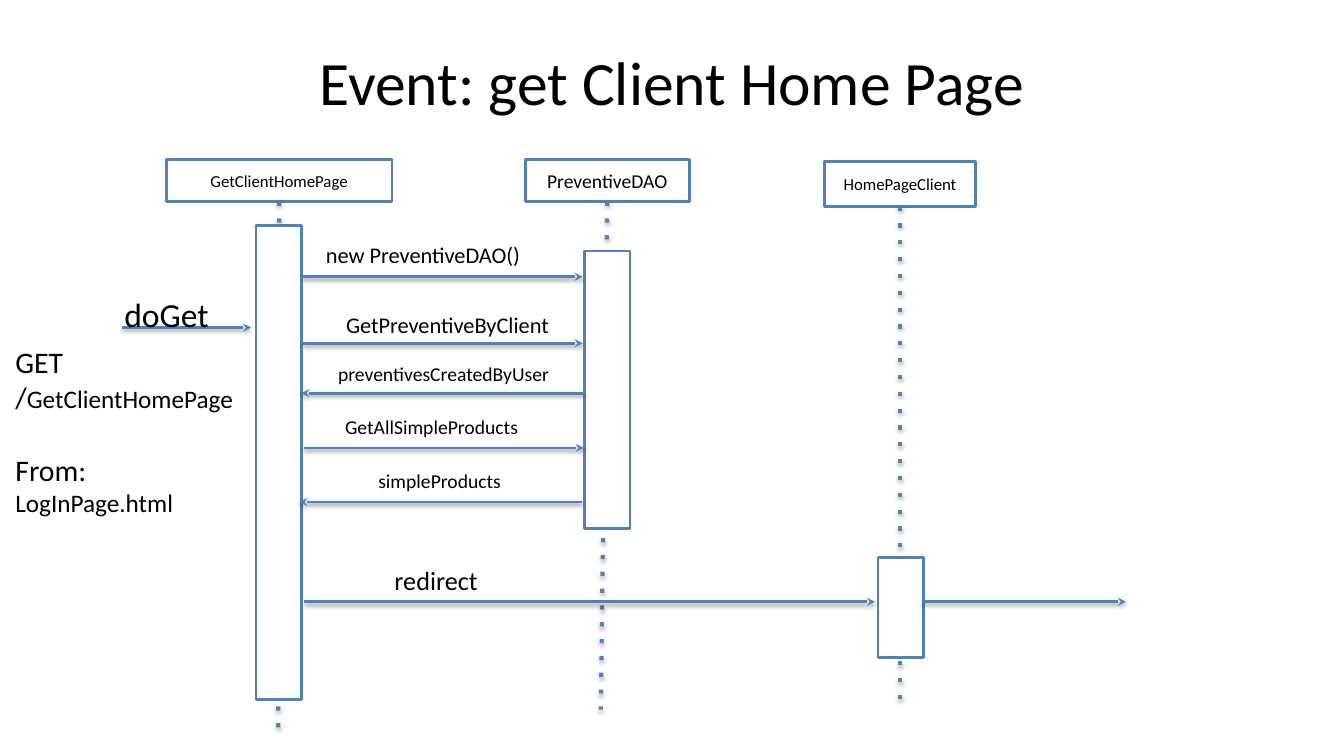
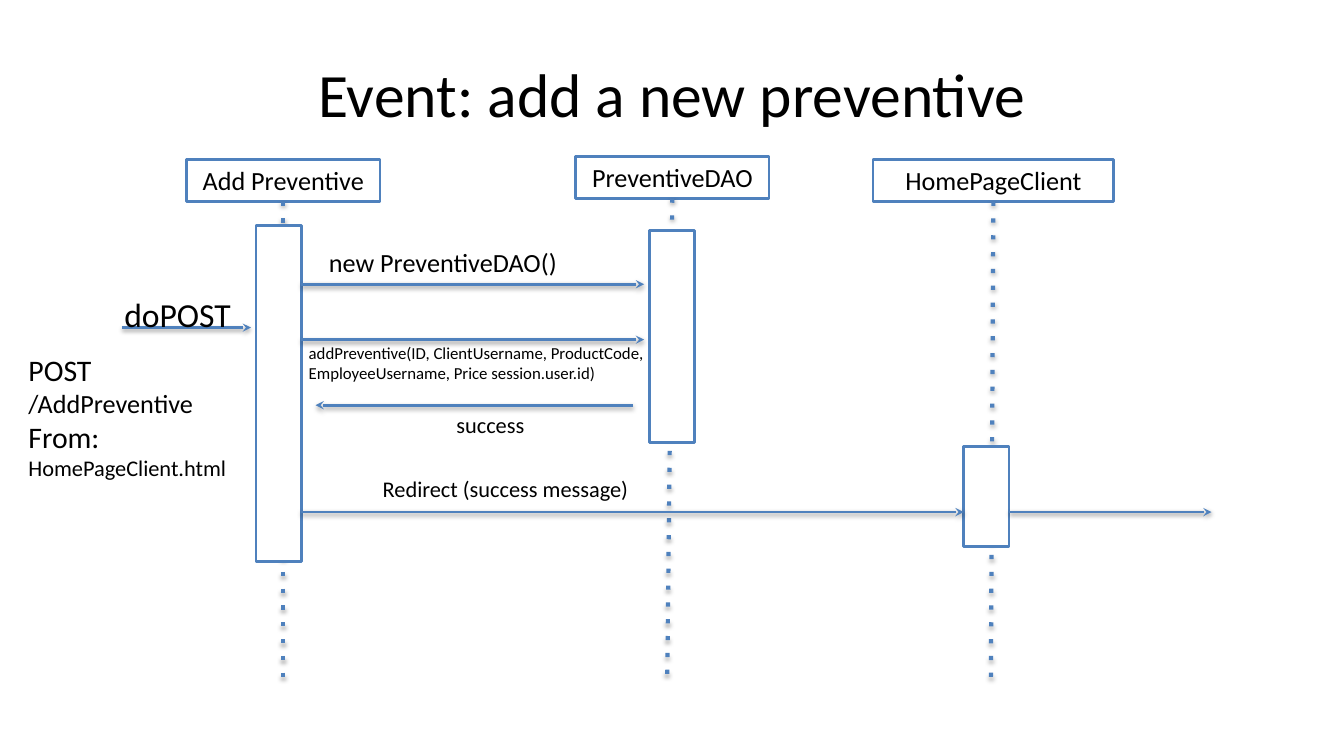
from lxml.etree import SubElement
from pptx import Presentation
from pptx.dml.color import RGBColor
from pptx.enum.shapes import MSO_CONNECTOR, MSO_SHAPE
from pptx.enum.text import MSO_ANCHOR, PP_ALIGN
from pptx.oxml.ns import qn
from pptx.util import Inches, Pt

COLUMNS, ROWS = 133.33, 75
BLUE, BLACK, WHITE = "4F81BD", "000000", "FFFFFF"
FONT = "Calibri"
BAR_WIDTH = 4.5
LABEL_HEIGHT = 4
LEFT, CENTER = PP_ALIGN.LEFT, PP_ALIGN.CENTER


def cells(count):
    """Turn a count of grid cells, ten to the inch, into a length."""
    return Inches(count / 10)


def paint(color_format, code):
    """Give a colour format the colour of a hex string."""
    color_format.rgb = RGBColor.from_string(code)


def write(holder, lines, align=LEFT, anchor=MSO_ANCHOR.TOP):
    """Fill a shape with lines, each a list of (text, size) runs."""
    frame = holder.text_frame
    frame.word_wrap = True
    frame.vertical_anchor = anchor
    frame.margin_left = frame.margin_right = cells(1.33)
    frame.margin_top = frame.margin_bottom = cells(0.67)
    for index, pieces in enumerate(lines):
        paragraph = frame.add_paragraph() if index else frame.paragraphs[0]
        paragraph.alignment = align
        for text, size in pieces:
            run = paragraph.add_run()
            run.text = text
            run.font.name = FONT
            run.font.size = Pt(size)
            paint(run.font.color, BLACK)


def add_text(slide, area, lines, align=LEFT, anchor=MSO_ANCHOR.TOP):
    """Add a text box over an area of the grid."""
    box = slide.shapes.add_textbox(*map(cells, area))
    write(box, lines, align, anchor)
    return box


def add_box(slide, area):
    """Add a white rectangle with a blue outline."""
    box = slide.shapes.add_shape(MSO_SHAPE.RECTANGLE, *map(cells, area))
    box.shadow.inherit = False
    box.fill.solid()
    paint(box.fill.fore_color, WHITE)
    box.line.width = Pt(2)
    paint(box.line.color, BLUE)
    return box


def add_line(slide, ends, width, detail, kind, distance, opacity):
    """Add a blue line with one outline detail and a soft shadow below it."""
    line = slide.shapes.add_connector(MSO_CONNECTOR.STRAIGHT, *map(cells, ends))
    line.line.width = Pt(width)
    paint(line.line.color, BLUE)
    properties = line._element.spPr
    outline = properties.find(qn("a:ln"))
    SubElement(outline, qn(detail), **kind)
    effects = SubElement(properties, qn("a:effectLst"))
    shadow = SubElement(effects, qn("a:outerShdw"), blurRad="40000",
                        dist=str(distance), dir="5400000", rotWithShape="0")
    tint = SubElement(shadow, qn("a:srgbClr"), val=BLACK)
    SubElement(tint, qn("a:alpha"), val=str(opacity * 1000))
    return line


def add_arrow(slide, start, end, row):
    """Add a horizontal arrow between two columns."""
    add_line(slide, (start, row, end, row), 2, "a:tailEnd",
             {"type": "stealth"}, 20000, 38)


def add_participant(slide, name, size, head, foot, bar):
    """Add a named head, its dotted lifeline and its activation bar."""
    left, top, width, height = head
    head_box = add_box(slide, head)
    write(head_box, [[(name, size)]], CENTER, MSO_ANCHOR.MIDDLE)
    ends = (left + width / 2, top + height, *foot)
    lifeline = add_line(slide, ends, 3, "a:prstDash", {"val": "dot"}, 23000, 35)
    lifeline.begin_connect(head_box, 2)
    bar_left, bar_top, bar_height = bar
    add_box(slide, (bar_left, bar_top, BAR_WIDTH, bar_height))


def add_message(slide, text, size, label, arrow, align=LEFT):
    """Add an arrow (start, end, row) with its label (left, top, width)."""
    add_arrow(slide, *arrow)
    add_text(slide, (*label, LABEL_HEIGHT), [[(text, size)]], align)


def add_event(deck, title, title_height, method, participants, messages, onward):
    """Add a sequence diagram slide and return it."""
    slide = deck.slides.add_slide(deck.slide_layouts[6])
    add_text(slide, (6.67, 3, 120, title_height), [[(title, 44)]],
             CENTER, MSO_ANCHOR.MIDDLE)
    for participant in participants:
        add_participant(slide, *participant)
    add_message(slide, method, 24, (11, 28.5, 13.4), (12.1, 24.9, 32.5))
    for message in messages:
        add_message(slide, *message)
    add_arrow(slide, *onward)
    return slide


def add_home_page_event(deck):
    """Add the slide on reading the client home page."""
    participants = [
        ("GetClientHomePage", 12, (16.5, 15.8, 22.4, 4.2), (27.6, 72.3), (25.4, 22.4, 47)),
        ("PreventiveDAO", 14, (52.1, 15.8, 16.3, 4.2), (59.6, 70.4), (58, 24.9, 27.5)),
        ("HomePageClient", 12, (81.8, 16, 15, 4.5), (89.3, 70.4), (87.1, 55.3, 9.9)),
    ]
    messages = [
        ("new PreventiveDAO()", 16, (31, 23.3, 23.5), (30, 57.8, 27.45)),
        ("GetPreventiveByClient", 16, (33, 30.2, 29.5), (30.1, 57.8, 34.05)),
        ("preventivesCreatedByUser", 14, (32.2, 35.2, 24.5), (57.9, 29.9, 39)),
        ("GetAllSimpleProducts", 14, (32.9, 40.5, 24.5), (30.2, 57.9, 44.45)),
        ("simpleProducts", 14, (36.2, 45.9, 24.5), (57.7, 29.7, 49.8)),
        ("redirect", 18.7, (37.8, 55.3, 27.2), (30.2, 86.8, 59.7)),
    ]
    slide = add_event(deck, "Event: get Client Home Page", 10.1, "doGet",
                      participants, messages, (91.5, 111.7, 59.7))
    request = add_text(slide, (0.2, 33.4, 25.7, 21.2), [
        [("GET", 21.3)],
        [("/", 21.3), ("GetClientHomePage", 18)],
        [("From:", 21.3)],
        [("LogInPage.html", 18)],
    ])
    request.text_frame.paragraphs[2].space_before = Pt(26)


def add_preventive_event(deck):
    """Add the slide on adding a preventive."""
    participants = [
        ("Add Preventive", 18.7, (18.5, 15.8, 19.2, 4.2), (28.1, 67.5), (25.4, 22.4, 33.3)),
        ("PreventiveDAO", 18.7, (57.1, 15.5, 19.2, 4.2), (66.2, 67.2), (64.4, 22.9, 21)),
        ("HomePageClient", 18.7, (86.6, 15.8, 23.9, 4.2), (98.3, 67.5), (95.6, 44.3, 9.9)),
    ]
    messages = [
        ("new PreventiveDAO()", 18.7, (31.3, 23.8, 39.1), (29.9, 63.9, 28.2)),
        ("addPreventive(ID, ClientUsername, ProductCode, "
         "EmployeeUsername, Price session.user.id)", 12, (29.3, 33.3, 37.7),
         (29.9, 63.9, 33.7)),
        ("success", 16, (29.8, 40.1, 37.7), (62.8, 31.3, 40.2), CENTER),
        ("Redirect (success message)", 16, (31.3, 46.5, 37.7), (29.9, 95.6, 50.8), CENTER),
    ]
    slide = add_event(deck, "Event: add a new preventive", 12.5, "doPOST",
                      participants, messages, (100.1, 120.2, 50.8))
    add_text(slide, (1.5, 34.2, 23.4, 33.3), [
        [("POST", 21.3)],
        [("/AddPreventive", 18.7)],
        [("From:", 21.3)],
        [("HomePageClient.html", 16)],
    ])


def main():
    """Build and save the deck."""
    deck = Presentation()
    deck.slide_width, deck.slide_height = cells(COLUMNS), cells(ROWS)
    add_home_page_event(deck)
    add_preventive_event(deck)
    deck.save("out.pptx")


if __name__ == "__main__":
    main()
